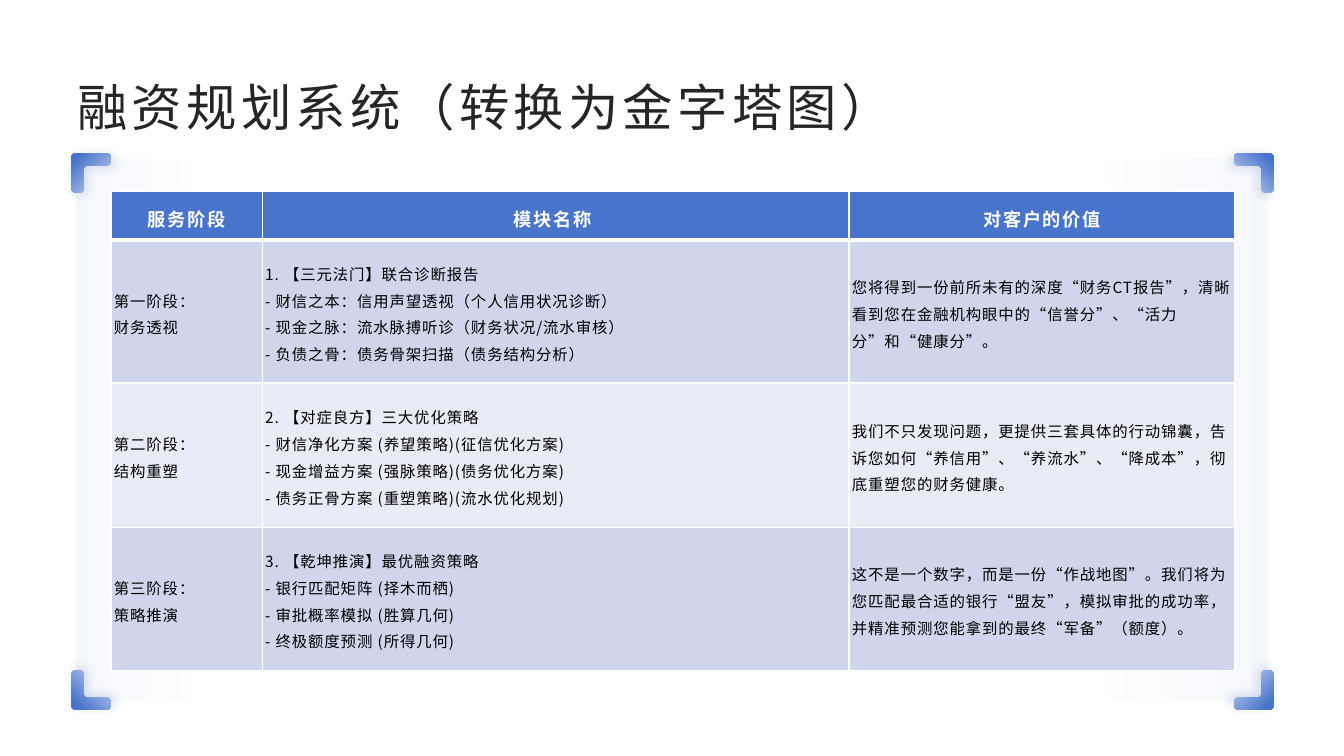
from math import cos, radians, sin

from lxml.etree import SubElement
from pptx import Presentation
from pptx.dml.color import RGBColor
from pptx.enum.shapes import MSO_SHAPE as Preset
from pptx.enum.text import MSO_ANCHOR as Anchor, PP_ALIGN as Align
from pptx.oxml import parse_xml
from pptx.oxml.ns import nsdecls, qn
from pptx.util import Inches, Pt

COLORS = {
    "title": "262626", "text": "000000", "white": "FFFFFF",
    "blue": "4874CB", "pale": "D1DCF2", "mist": "ADC0E8", "shade": "2E54A1",
    "odd": "CFD6EC", "even": "E9EBF6",
}
TITLE_FONT, TABLE_FONT = "Arial", "Noto Sans CJK SC"

TITLE = "融资规划系统（转换为金字塔图）"
HEADINGS = ["服务阶段", "模块名称 ", "对客户的价值"]
STAGES = [
    (["第一阶段：", "财务透视"],
     ["1. 【三元法门】联合诊断报告",
      "- 财信之本：信用声望透视（个人信用状况诊断）",
      "- 现金之脉：流水脉搏听诊（财务状况/流水审核）",
      "- 负债之骨：债务骨架扫描（债务结构分析）"],
     ["您将得到一份前所未有的深度“财务CT报告”，清晰看到您在金融机构眼中的“信誉分”、“活力分”和“健康分”。"]),
    (["第二阶段：", "结构重塑"],
     ["2. 【对症良方】三大优化策略",
      "- 财信净化方案 (养望策略)(征信优化方案)",
      "- 现金增益方案 (强脉策略)(债务优化方案)",
      "- 债务正骨方案 (重塑策略)(流水优化规划)"],
     ["我们不只发现问题，更提供三套具体的行动锦囊，告诉您如何“养信用”、“养流水”、“降成本”，彻底重塑您的财务健康。"]),
    (["第三阶段：", "策略推演"],
     ["3. 【乾坤推演】最优融资策略",
      "- 银行匹配矩阵 (择木而栖)",
      "- 审批概率模拟 (胜算几何)",
      "- 终极额度预测 (所得几何)"],
     ["这不是一个数字，而是一份“作战地图”。我们将为您匹配最合适的银行“盟友”，模拟审批的成功率，并精准预测您能拿到的最终“军备”（额度）。"]),
]

SLIDE_W, SLIDE_H = 13.33, 7.5
PANEL = (0.76, 1.57, 11.81, 5.39)
FRAME_LEFT, FRAME_TOP, FRAME_RIGHT, FRAME_BOTTOM = 0.71, 1.52, 12.63, 7.04
ARM, THICK, RADIUS = 0.39, 0.12, 0.04
COLUMNS = [1.5, 5.82, 3.83]
ROWS = [0.48, 1.42, 1.43, 1.42]
CORNERS = [
    (FRAME_LEFT, FRAME_TOP, 1, 1, 225),
    (FRAME_RIGHT, FRAME_TOP, -1, 1, 315),
    (FRAME_LEFT, FRAME_BOTTOM, 1, -1, 135),
    (FRAME_RIGHT, FRAME_BOTTOM, -1, -1, 45),
]


def rgb(name):
    return RGBColor.from_string(COLORS[name])


def set_gradient(shape, stops, angle):
    shape.fill.background()
    marks = "".join(
        f'<a:gs pos="{place * 1000}"><a:srgbClr val="{COLORS[name]}">'
        f'<a:alpha val="{alpha * 1000}"/></a:srgbClr></a:gs>'
        for place, name, alpha in stops)
    properties = shape.fill._xPr
    properties.replace(properties.find(qn("a:noFill")), parse_xml(
        f'<a:gradFill {nsdecls("a")} rotWithShape="1"><a:gsLst>{marks}</a:gsLst>'
        f'<a:lin ang="{angle * 60000}" scaled="0"/></a:gradFill>'))
    shape.line.fill.background()


def write(paragraph, text, font_name, size, color, spacing, bold=False):
    paragraph.text = text
    font = paragraph.font
    font.name, font.size, font.bold = font_name, Pt(size), bold
    font.color.rgb = rgb(color)
    font._rPr.set("spc", str(round(spacing * 100)))
    east_asian = SubElement(font._rPr, qn("a:ea"))
    east_asian.set("typeface", TABLE_FONT)


def add_panel(slide):
    panel = slide.shapes.add_shape(Preset.RECTANGLE, *map(Inches, PANEL))
    panel.shadow.inherit = False
    set_gradient(panel, [(0, "blue", 5), (10, "mist", 0), (86, "mist", 0), (100, "blue", 5)], 0)


def add_title(slide):
    box = slide.shapes.add_textbox(*map(Inches, (0.67, 0.67, 12, 0.77)))
    frame = box.text_frame
    frame.word_wrap = True
    frame.vertical_anchor = Anchor.MIDDLE
    write(frame.paragraphs[0], TITLE, TITLE_FONT, 36, "title", 3)


def bracket_outline():
    far, near, r = ARM - RADIUS, THICK - RADIUS, RADIUS
    arcs = [(r, r, 180, 270), (far, r, 270, 360), (far, near, 0, 90),
            (THICK + r, THICK + r, 270, 180), (near, far, 0, 90), (r, far, 90, 180)]
    return [(x + r * cos(radians(start + (end - start) * step / 6)),
             y + r * sin(radians(start + (end - start) * step / 6)))
            for x, y, start, end in arcs for step in range(7)]


def add_bracket(slide, x, y, across, down, angle):
    points = [(Inches(x + across * dx), Inches(y + down * dy)) for dx, dy in bracket_outline()]
    builder = slide.shapes.build_freeform(*points[0])
    builder.add_line_segments(points[1:], close=True)
    bracket = builder.convert_to_shape()
    set_gradient(bracket, [(0, "pale", 100), (88, "blue", 100)], angle)
    bracket._element.spPr.append(parse_xml(
        f'<a:effectLst {nsdecls("a")}><a:outerShdw blurRad="{Pt(8)}" dist="{Pt(3)}" '
        f'dir="{(angle + 180) % 360 * 60000}" algn="ctr" rotWithShape="0">'
        f'<a:srgbClr val="{COLORS["shade"]}"><a:alpha val="20000"/></a:srgbClr>'
        f'</a:outerShdw></a:effectLst>'))


def set_borders(cell, row):
    widths = {"L": 1, "R": 1, "T": 3 if row == 1 else 1, "B": 3 if row == 0 else 1}
    properties = cell._tc.get_or_add_tcPr()
    for place, (side, width) in enumerate(widths.items()):
        properties.insert(place, parse_xml(
            f'<a:ln{side} {nsdecls("a")} w="{Pt(width)}"><a:solidFill>'
            f'<a:srgbClr val="{COLORS["white"]}"/></a:solidFill></a:ln{side}>'))


def add_stage_table(slide):
    table = slide.shapes.add_table(
        len(ROWS), len(COLUMNS), Inches(1.1), Inches(1.9),
        Inches(sum(COLUMNS)), Inches(sum(ROWS))).table
    for column, width in zip(table.columns, COLUMNS):
        column.width = Inches(width)
    for row, height in zip(table.rows, ROWS):
        row.height = Inches(height)
    contents = [[[heading] for heading in HEADINGS], *STAGES]
    for r, entries in enumerate(contents):
        for c, lines in enumerate(entries):
            cell = table.cell(r, c)
            cell.margin_left = cell.margin_right = Inches(0.03)
            cell.margin_top = cell.margin_bottom = Inches(0.03)
            cell.vertical_anchor = Anchor.MIDDLE
            cell.fill.solid()
            cell.fill.fore_color.rgb = rgb("blue" if r == 0 else "odd" if r % 2 else "even")
            set_borders(cell, r)
            paragraph = cell.text_frame.paragraphs[0]
            paragraph.line_spacing = 1.2
            text = "\v".join(lines)
            if r == 0:
                paragraph.alignment = Align.CENTER
                write(paragraph, text, TABLE_FONT, 13, "white", 1.2, bold=True)
            else:
                write(paragraph, text, TABLE_FONT, 11, "text", 0.6)


def main():
    deck = Presentation()
    deck.slide_width, deck.slide_height = Inches(SLIDE_W), Inches(SLIDE_H)
    slide = deck.slides.add_slide(deck.slide_layouts[6])
    add_panel(slide)
    add_title(slide)
    for corner in CORNERS:
        add_bracket(slide, *corner)
    add_stage_table(slide)
    deck.save("out.pptx")


if __name__ == "__main__":
    main()
